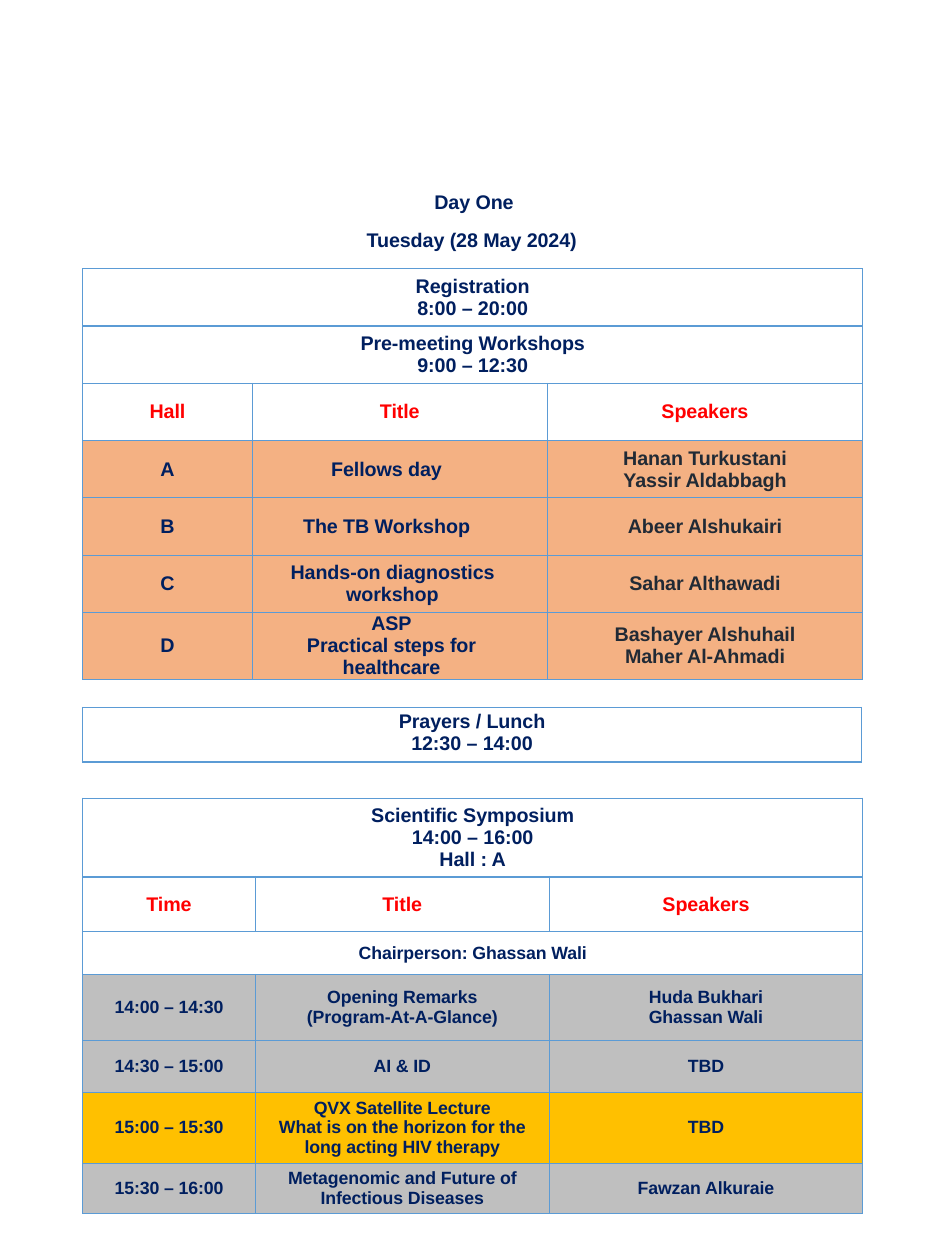
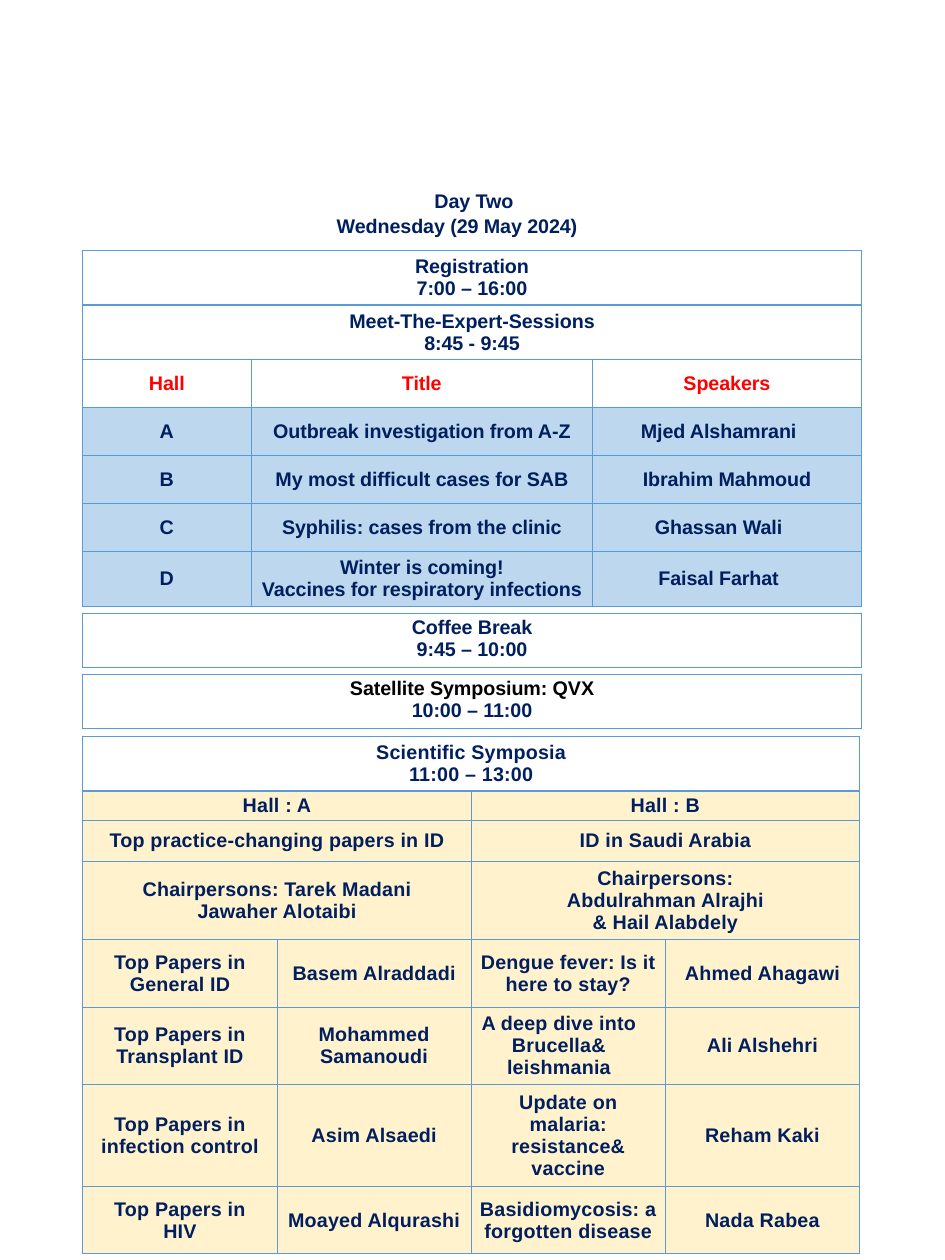
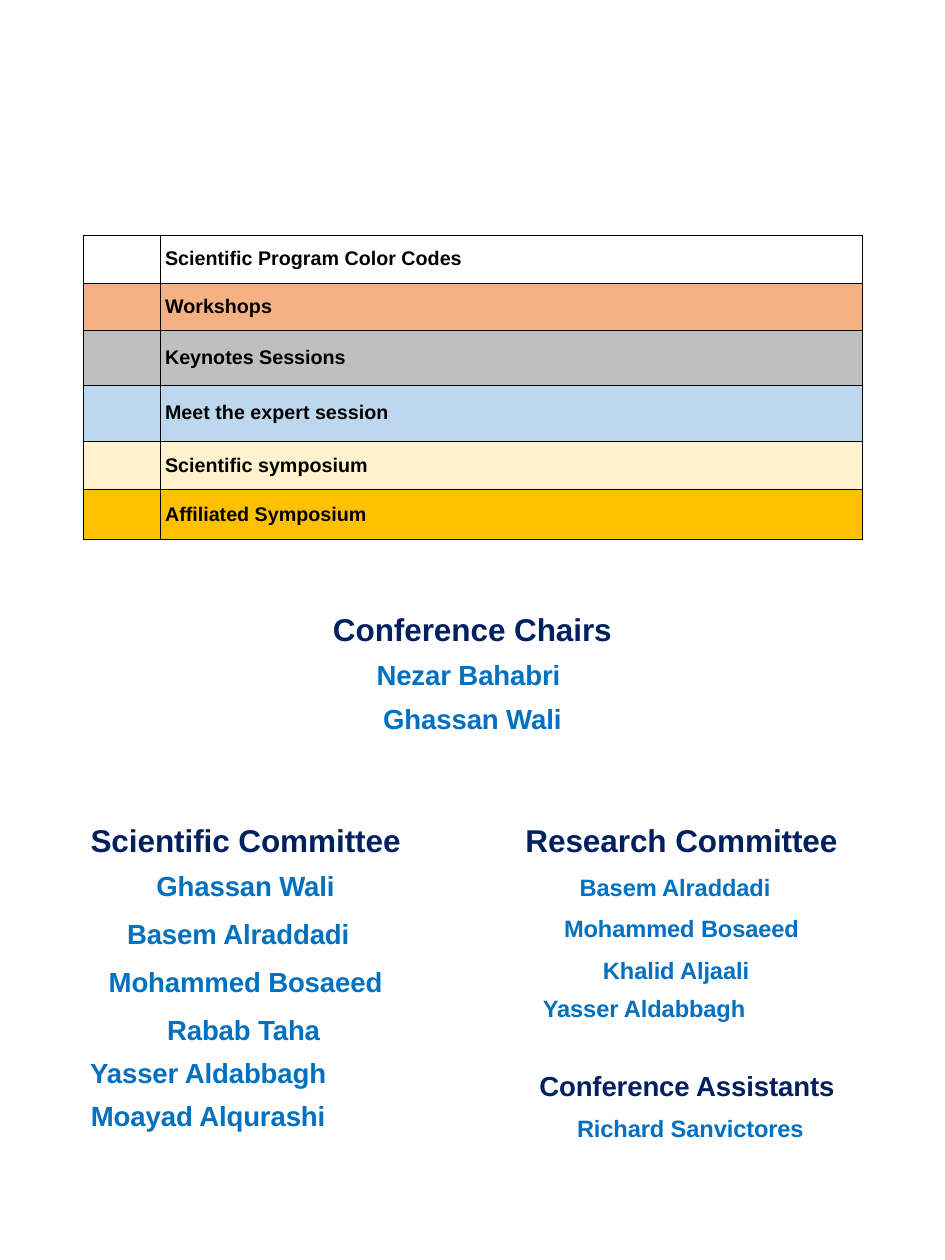
"""Builds a three-page conference programme."""
from collections import namedtuple
from dataclasses import dataclass
from lxml import etree
from pptx import Presentation
from pptx.dml.color import RGBColor
from pptx.enum import text as t
from pptx.oxml import ns
from pptx.util import Pt

Tone = namedtuple("Tone", "fill ink size last", defaults=(None, "001F5F", 20, None))
Cell = namedtuple("Cell", "text left right first", defaults=(0, 0, None))
Line = namedtuple("Line", "text size ink before shift", defaults=(0, 0))


@dataclass(frozen=True)
class Theme:
    """Colours, type sizes and tones of the programme."""
    font: str = "Arial"
    navy: str = "001F5F"
    head: str = "002060"
    name: str = "0070C0"
    black: str = "000000"
    rule: str = "5B9BD5"
    small: int = 20
    mid: int = 24
    big: int = 28
    huge: int = 32
    track: int = -10


T = Theme()
PEACH, GREY, SKY, CREAM, GOLD = "F4B183", "BFBFBF", "BDD7EE", "FFF2CC", "FFC000"
TONES = {
    "plain": Tone(),
    "head": Tone(ink="FF0000"),
    "chair": Tone(size=18),
    "shop": Tone(PEACH, last="212A35"),
    "key": Tone(GREY, size=18),
    "guest": Tone(GOLD, size=18),
    "meet": Tone(SKY),
    "talk": Tone(CREAM),
}
TOP, MID = t.MSO_ANCHOR.TOP, t.MSO_ANCHOR.MIDDLE
LEFT, MID_X = t.PP_ALIGN.LEFT, t.PP_ALIGN.CENTER


def write(para, words, size, ink, align=MID_X, left=0, right=0, before=0, track=T.track):
    """Fill one paragraph and format it."""
    para.text = words
    para.alignment = align
    para.space_before = Pt(before)
    font = para.font
    font.name, font.size, font.bold = T.font, Pt(size), True
    font.color.rgb = RGBColor.from_string(ink)
    props = para._p.get_or_add_pPr()
    for key, value in (("marL", left), ("marR", right), ("indent", 0)):
        props.set(key, str(int(Pt(value))))
    for run in para.runs:
        run._r.get_or_add_rPr().set("spc", str(track))


def edge(cell, ink, widths):
    """Draw the left, right, top and bottom borders of a cell."""
    props = cell._tc.get_or_add_tcPr()
    for i, (side, width) in enumerate(zip("LRTB", widths)):
        line = etree.Element(ns.qn("a:ln" + side), w=str(int(Pt(width))))
        fill = etree.SubElement(line, ns.qn("a:solidFill"))
        etree.SubElement(fill, ns.qn("a:srgbClr"), val=ink)
        props.insert(i, line)


def paint(cell, fill):
    """Fill a cell, or leave it clear."""
    if fill:
        cell.fill.solid()
        cell.fill.fore_color.rgb = RGBColor.from_string(fill)
    else:
        cell.fill.background()


def frame(slide, box, cols, highs):
    """Add a bare table with the given column widths and row heights."""
    size = sum(cols), sum(highs)
    shape = slide.shapes.add_table(len(highs), len(cols), *map(Pt, (*box, *size)))
    grid = shape.table
    grid.first_row = grid.horz_banding = False
    for col, width in zip(grid.columns, cols):
        col.width = Pt(width)
    for row, high in zip(grid.rows, highs):
        row.height = Pt(high)
    return grid


def plan(slide, box, cols, rows, anchor=MID, track=T.track):
    """Place a schedule whose short rows span the columns evenly."""
    grid = frame(slide, box, cols, [row[1] for row in rows])
    for i, (kind, _, *items) in enumerate(rows):
        tone = TONES[kind]
        span = len(cols) // len(items)
        for j in range(len(cols)):
            cell = grid.cell(i, j)
            paint(cell, tone.fill)
            edge(cell, T.rule, (1, 1, 2 if i == 1 else 1, 2 if i == 0 else 1))
        for j, item in enumerate(items):
            cell = grid.cell(i, j * span)
            if span > 1:
                cell.merge(grid.cell(i, j * span + span - 1))
            item = Cell(item) if isinstance(item, str) else item
            cell.vertical_anchor = anchor
            cell.margin_top = cell.margin_bottom = Pt(3.6 if anchor == TOP else 0)
            ink = tone.last if tone.last and j == len(items) - 1 else tone.ink
            for k, words in enumerate(item.text.split("\n")):
                para = cell.text_frame.paragraphs[0] if k == 0 else cell.text_frame.add_paragraph()
                shade = item.first if item.first and k == 0 else ink
                write(para, words, tone.size, shade, left=item.left, right=item.right, track=track)


def band(slide, box, item):
    """Place a one-cell break between sessions."""
    plan(slide, box, [792], [("plain", 55.4, item)], TOP)


def key(slide, box, rows):
    """Place the legend of colour codes."""
    grid = frame(slide, box, [78.5, 713.5], [row[1] for row in rows])
    for i, (fill, _, words) in enumerate(rows):
        for j in range(2):
            cell = grid.cell(i, j)
            paint(cell, fill)
            edge(cell, T.black, [0.5] * 4)
        cell.vertical_anchor = MID
        cell.margin_left = cell.margin_right = cell.margin_top = cell.margin_bottom = 0
        write(cell.text_frame.paragraphs[0], words, T.small, T.black, LEFT, 5, track=0)


def group(hold, box, lines, align=MID_X):
    """Move a placeholder to its box and write its lines."""
    hold.left, hold.top, hold.width, hold.height = map(Pt, box)
    body = hold.text_frame
    body.margin_left = body.margin_right = body.margin_top = body.margin_bottom = 0
    body.vertical_anchor, body.word_wrap = TOP, True
    body.auto_size = t.MSO_AUTO_SIZE.NONE
    for i, line in enumerate(lines):
        para = body.paragraphs[0] if i == 0 else body.add_paragraph()
        write(para, line.text, line.size, line.ink, align,
              max(line.shift, 0), max(-line.shift, 0), line.before)
        props = para._p.get_or_add_pPr()
        mark = etree.Element(ns.qn("a:buNone"))
        props.insert(list(props).index(props.find(ns.qn("a:defRPr"))), mark)


def day(deck, title, date, top, spot):
    """Add a day page with its title and date."""
    slide = deck.slides.add_slide(deck.slide_layouts[1])
    group(slide.shapes.title, (339, top, 282, 26), [Line(title, T.small, T.navy, 0, 3)])
    group(slide.placeholders[1], (*spot, 282, 25), [Line(date, T.small, T.navy, 0, 3)], LEFT)
    return slide


def first(deck):
    """Build the page of day one."""
    slide = day(deck, "Day One", "Tuesday (28 May 2024)", 193, (369.4, 231.2))
    high = 58.2
    plan(slide, (84.2, 273), [172, 300, 320], [
        ("plain", high, "Registration\n8:00 – 20:00"),
        ("plain", high, "Pre-meeting Workshops\n9:00 – 12:30"),
        ("head", high, "Hall", "Title", "Speakers"),
        ("shop", high, "A", Cell("Fellows day", 5, 32), "Hanan Turkustani\nYassir Aldabbagh"),
        ("shop", high, "B", Cell("The TB Workshop", 5, 32), "Abeer Alshukairi"),
        ("shop", high, "C", Cell("Hands-on diagnostics workshop", 5, 20), "Sahar Althawadi"),
        ("shop", 68, "D", Cell("ASP\nPractical steps for healthcare", 5, 22),
         "Bashayer Alshuhail\nMaher Al-Ahmadi"),
    ])
    band(slide, (83.5, 718.6), "Prayers / Lunch\n12:30 – 14:00")
    plan(slide, (84.2, 810.7), [175, 299, 318], [
        ("plain", 80, "Scientific Symposium\n14:00 – 16:00\nHall : A"),
        ("head", 56, "Time", "Title", "Speakers"),
        ("chair", 43.2, "Chairperson: Ghassan Wali"),
        ("key", 66.8, "14:00 – 14:30", "Opening Remarks\n(Program-At-A-Glance)",
         "Huda Bukhari\nGhassan Wali"),
        ("key", 53, "14:30 – 15:00", "AI & ID", "TBD"),
        ("guest", 72, "15:00 – 15:30",
         "QVX Satellite Lecture\nWhat is on the horizon for the long acting HIV therapy", "TBD"),
        ("key", 50.7, "15:30 – 16:00", "Metagenomic and Future of Infectious Diseases",
         "Fawzan Alkuraie"),
    ])


def second(deck):
    """Build the page of day two."""
    slide = day(deck, "Day Two", "Wednesday (29 May 2024)", 191.8, (339, 217.7))
    high, tall = 48.8, 55.2
    plan(slide, (83.5, 254.9), [172, 346, 274], [
        ("plain", tall, "Registration\n7:00 – 16:00"),
        ("plain", tall, "Meet-The-Expert-Sessions\n8:45 - 9:45"),
        ("head", high, "Hall", "Title", "Speakers"),
        ("meet", high, "A", "Outbreak investigation from A-Z", Cell("Mjed Alshamrani", 0, 17)),
        ("meet", high, "B", "My most difficult cases for SAB", "Ibrahim Mahmoud"),
        ("meet", high, "C", "Syphilis: cases from the clinic", Cell("Ghassan Wali", 0, 17)),
        ("meet", tall, "D", "Winter is coming!\nVaccines for respiratory infections",
         Cell("Faisal Farhat", 0, 17)),
    ])
    band(slide, (83.5, 622.8), "Coffee Break\n9:45 – 10:00")
    band(slide, (83.5, 684.7), Cell("Satellite Symposium: QVX\n10:00 – 11:00", first=T.black))
    plan(slide, (84.2, 748), [197.25] * 4, [
        ("plain", tall, "Scientific Symposia\n11:00 – 13:00"),
        ("talk", 30.2, "Hall : A", "Hall : B"),
        ("talk", 41.8, "Top practice-changing papers in ID", "ID in Saudi Arabia"),
        ("talk", 79, "Chairpersons: Tarek Madani\nJawaher Alotaibi",
         "Chairpersons:\nAbdulrahman Alrajhi\n& Hail Alabdely"),
        ("talk", 69, "Top Papers in\vGeneral ID", "Basem Alraddadi",
         "Dengue fever: Is it here to stay?", "Ahmed Ahagawi"),
        ("talk", 79, "Top Papers in\vTransplant ID", "Mohammed Samanoudi",
         Cell("A deep dive into Brucella& leishmania", 0, 19), "Ali Alshehri"),
        ("talk", 103.5, "Top Papers in\vinfection control", "Asim Alsaedi",
         "Update on\vmalaria: resistance& vaccine", "Reham Kaki"),
        ("talk", 68, "Top Papers in\vHIV", "Moayed Alqurashi",
         "Basidiomycosis: a forgotten disease", "Nada Rabea"),
    ], track=20)


def third(deck):
    """Build the page of colour codes and committees."""
    slide = deck.slides.add_slide(deck.slide_layouts[4])
    key(slide, (84.2, 239), [
        ("FFFFFF", 48.4, "Scientific Program Color Codes"),
        (PEACH, 48.4, "Workshops"),
        (GREY, 55.4, "Keynotes Sessions"),
        (SKY, 57, "Meet the expert session"),
        (CREAM, 49, "Scientific symposium"),
        (GOLD, 50.4, "Affiliated Symposium"),
    ])
    hold = slide.placeholders
    group(slide.shapes.title, (314.6, 619.2, 330.5, 40),
          [Line("Conference Chairs", T.huge, T.head)])
    group(hold[1], (314.6, 668.5, 330.5, 90), [
        Line("Nezar Bahabri", T.big, T.name, 0, -8),
        Line("Ghassan Wali", T.big, T.name, 11.3),
    ])
    group(hold[2], (84.2, 834.5, 330.5, 328), [
        Line("Scientific Committee", T.huge, T.head),
        Line("Ghassan Wali", T.big, T.name, 10.3),
        Line("Basem Alraddadi", T.big, T.name, 15, -15),
        Line("Mohammed Bosaeed", T.big, T.name, 15),
        Line("Rabab Taha", T.big, T.name, 15, -4),
        Line("Yasser Aldabbagh", T.big, T.name, 10.3, -76),
        Line("Moayad Alqurashi", T.big, T.name, 10.3, -76),
    ])
    group(hold[3], (509, 834.5, 366.5, 220), [
        Line("Research Committee", T.huge, T.head),
        Line("Basem Alraddadi", T.mid, T.name, 13.5, -13),
        Line("Mohammed Bosaeed", T.mid, T.name, 13.5),
        Line("Khalid Aljaali", T.mid, T.name, 13.5, -11),
        Line("Yasser Aldabbagh", T.mid, T.name, 10.3, -76),
    ])
    group(hold[4], (509, 1086, 366.5, 76), [
        Line("Conference Assistants", T.big, T.head, 0, 11),
        Line("Richard Sanvictores", T.mid, T.name, 11.5, 18),
    ])


def main():
    """Build and save the programme."""
    deck = Presentation()
    deck.slide_width, deck.slide_height = Pt(960), Pt(1280)
    for page in (first, second, third):
        page(deck)
    deck.save("out.pptx")


if __name__ == "__main__":
    main()
